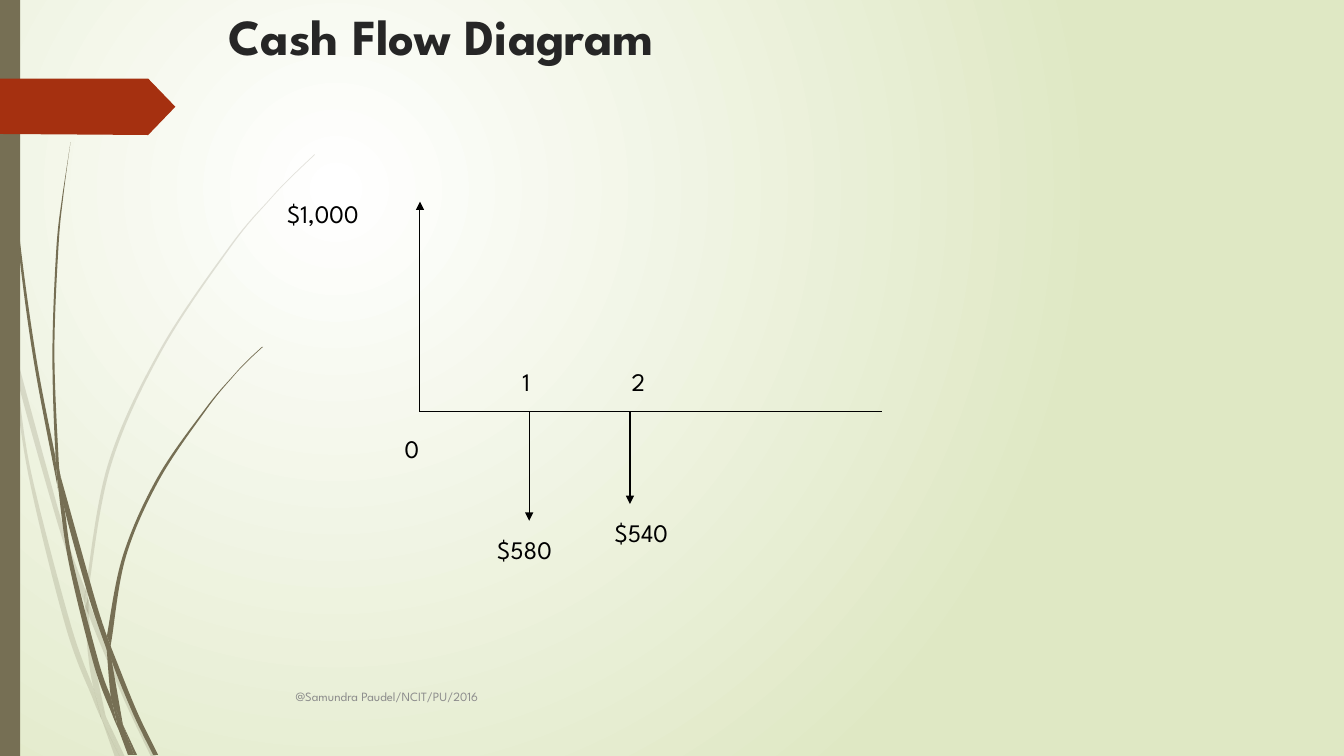
from itertools import chain
from lxml.etree import SubElement
from pptx import Presentation
from pptx.dml.color import RGBColor
from pptx.enum.shapes import MSO_CONNECTOR, MSO_SHAPE
from pptx.enum.text import MSO_ANCHOR
from pptx.oxml.ns import qn
from pptx.util import Pt

SLIDE_SIZE = (960, 540)
BACKGROUND = ("FFFFFF", "DFE8C4")
OLIVE, RUST, BLACK = "766F54", "A53010", "000000"

# Leaf pieces as pairs of smooth edges, in hundredths of an inch.
PALE_LEAVES = [
    ([(11, 350), (9, 322), (0, 282)], [(0, 299), (10, 344), (11, 350)]),
    ([(14, 345), (17, 376), (58, 522), (84, 599)], [(85, 586), (62, 520), (14, 345)]),
    ([(88, 596), (88, 610), (123, 694), (150, 751)], [(155, 751), (127, 692), (92, 607), (88, 596)]),
    ([(105, 711), (119, 751)], [(124, 751), (105, 711)]),
    ([(11, 350), (28, 470), (65, 621), (92, 693), (101, 714)],
     [(93, 683), (70, 619), (31, 469), (17, 376), (11, 350)]),
    ([(84, 599), (87, 646), (93, 683), (105, 711)], [(91, 646), (88, 610), (84, 599)]),
    ([(88, 596), (88, 584), (110, 462), (160, 349), (229, 245), (268, 198), (290, 175), (312, 154)],
     [(312, 153), (289, 175), (268, 197), (228, 244), (158, 348), (107, 461), (85, 584), (85, 586)]),
    ([(101, 714), (114, 751)], [(119, 751), (101, 714)]),
    ([(85, 586), (84, 599), (88, 610)], [(88, 596), (85, 586)]),
    ([(93, 683), (99, 707), (101, 714), (119, 751)], [(105, 711), (96, 692), (93, 683)]),
]
DARK_LEAVES = [
    ([(3, 0), (4, 48), (7, 110), (17, 233), (33, 355), (56, 477), (57, 481)],
     [(55, 453), (36, 355), (19, 232), (8, 109), (5, 48), (4, 0)]),
    ([(60, 472), (64, 505), (88, 592), (106, 645)], [(106, 631), (93, 590), (60, 472)]),
    ([(110, 641), (111, 656), (132, 708), (152, 749)], [(157, 749), (136, 706), (113, 649), (110, 641)]),
    ([(57, 477), (68, 557), (93, 659), (111, 708), (117, 722)],
     [(110, 691), (98, 657), (72, 556), (64, 505), (57, 477)]),
    ([(60, 472), (58, 453), (54, 349), (58, 245), (63, 193), (70, 141)],
     [(62, 193), (56, 245), (52, 349), (55, 449), (60, 472)]),
    ([(122, 719), (133, 749)], [(136, 749), (122, 719)]),
    ([(55, 449), (57, 477), (64, 505)], [(60, 472), (55, 449)]),
    ([(110, 641), (111, 633), (125, 552), (158, 476), (205, 406), (231, 374), (245, 359), (261, 344)],
     [(260, 344), (245, 358), (231, 373), (204, 405), (156, 474), (122, 551), (106, 631)]),
    ([(117, 722), (127, 749)], [(131, 749), (117, 722)]),
    ([(106, 645), (110, 691), (116, 706), (122, 719)], [(111, 656), (109, 651), (106, 645)]),
    ([(106, 631), (106, 645), (111, 656)], [(110, 641), (106, 631)]),
    ([(110, 691), (116, 717), (117, 722), (130, 749)], [(133, 749), (122, 719), (116, 706), (110, 691)]),
]
LEAVES = [(leaf, 20) for leaf in PALE_LEAVES] + [(leaf, 100) for leaf in DARK_LEAVES]
PAGE_ARROW = ([(0, 78), (147, 78)], [(174, 106), (147, 134)], [(0, 133), (0, 78)])

AXIS_Y, AXIS_START, AXIS_END = 294, 300, 630
CASH_FLOWS = [(AXIS_START, 144), (378, 372), (450, 360)]

TITLE = ("Cash Flow Diagram", (156.2, 0, 648, 78),
         {"size": Pt(36), "bold": True}, "262626", MSO_ANCHOR.TOP)
FOOTER = ("@Samundra Paudel/NCIT/PU/2016", (204, 483, 600, 28.8),
          {"size": Pt(9)}, "8C8C8C", MSO_ANCHOR.MIDDLE)
LABELS = [
    ("$1,000", 198, 138, 84),
    ("0", 282, 306, 48),
    ("1", 366, 258, 48),
    ("2", 444, 258, 60),
    ("$580", 348, 378, 66),
    ("$540", 432, 366, 78),
]


def colour(value):
    return RGBColor.from_string(value)


def paint(shape, value, opacity=100):
    shape.shadow.inherit = False
    shape.line.fill.background()
    shape.fill.solid()
    shape.fill.fore_color.rgb = colour(value)
    if opacity < 100:
        colour_element = shape._element.spPr.find(qn("a:solidFill"))[0]
        SubElement(colour_element, qn("a:alpha"), val=str(opacity * 1000))


def curve_points(edge):
    padded = [edge[0], *edge, edge[-1]]
    points = []
    for before, start, end, after in zip(padded, padded[1:], padded[2:], padded[3:]):
        points.append(tuple(b + (c - a) / 6 for a, b, c in zip(before, start, end)))
        points.append(tuple(c - (d - b) / 6 for b, c, d in zip(start, end, after)))
        points.append(end)
    return points


def add_outline(slide, edges, value, opacity=100):
    joints = [[first[-1], second[0]] for first, second in zip(edges, edges[1:])]
    sections = [edges[0]]
    for joint, edge in zip(joints, edges[1:]):
        sections += [edge] if joint[0] == joint[1] else [joint, edge]
    points = chain([edges[0][0]], *(curve_points(section) for section in sections))
    start, *others = [(Pt(x * 0.72), Pt(y * 0.72)) for x, y in points]
    builder = slide.shapes.build_freeform(*start)
    builder.add_line_segments(others, close=True)
    shape = builder.convert_to_shape()
    segments = list(shape._element.iter(qn("a:lnTo")))[:len(others)]
    for first, second, third in zip(segments[::3], segments[1::3], segments[2::3]):
        first.tag = qn("a:cubicBezTo")
        for segment in (second, third):
            first.append(segment[0])
            segment.getparent().remove(segment)
    paint(shape, value, opacity)


def add_line(slide, start, end, arrow=False):
    connector = slide.shapes.add_connector(
        MSO_CONNECTOR.STRAIGHT, *(Pt(value) for value in start + end))
    connector.line.width = Pt(0.75)
    connector.line.color.rgb = colour(BLACK)
    if arrow:
        SubElement(connector.line._get_or_add_ln(), qn("a:tailEnd"), type="triangle")
    SubElement(connector._element.spPr, qn("a:effectLst"))


def add_text(slide, text, box, font_format, value, anchor):
    frame = slide.shapes.add_textbox(*(Pt(length) for length in box)).text_frame
    frame.word_wrap = True
    frame.vertical_anchor = anchor
    run = frame.paragraphs[0].add_run()
    run.text = text
    for name, setting in {"name": "League Spartan", **font_format}.items():
        setattr(run.font, name, setting)
    run.font.color.rgb = colour(value)


def set_background(slide):
    fill = slide.background.fill
    fill.gradient()
    for stop, value in zip(fill.gradient_stops, BACKGROUND):
        stop.color.rgb = colour(value)
    gradient = slide._element.find(".//" + qn("a:gradFill"))
    gradient.remove(gradient.find(qn("a:lin")))
    circle = SubElement(gradient, qn("a:path"), path="circle")
    SubElement(circle, qn("a:fillToRect"), l="50000", t="50000", r="100000", b="100000")


def main():
    presentation = Presentation()
    presentation.slide_width, presentation.slide_height = map(Pt, SLIDE_SIZE)
    slide = presentation.slides.add_slide(presentation.slide_layouts[6])
    set_background(slide)

    for leaf, opacity in LEAVES:
        add_outline(slide, leaf, OLIVE, opacity)
    side_bar = slide.shapes.add_shape(MSO_SHAPE.RECTANGLE, 0, 0, Pt(14.4), Pt(540))
    paint(side_bar, OLIVE)
    add_outline(slide, PAGE_ARROW, RUST)

    add_text(slide, *TITLE)
    add_line(slide, (AXIS_START, AXIS_Y), (AXIS_END, AXIS_Y))
    for x, tip_y in CASH_FLOWS:
        add_line(slide, (x, AXIS_Y), (x, tip_y), arrow=True)
    for text, left, top, width in LABELS:
        add_text(slide, text, (left, top, width, 28.8), {"size": Pt(18)}, BLACK, MSO_ANCHOR.TOP)
    add_text(slide, *FOOTER)

    presentation.save("out.pptx")


if __name__ == "__main__":
    main()
